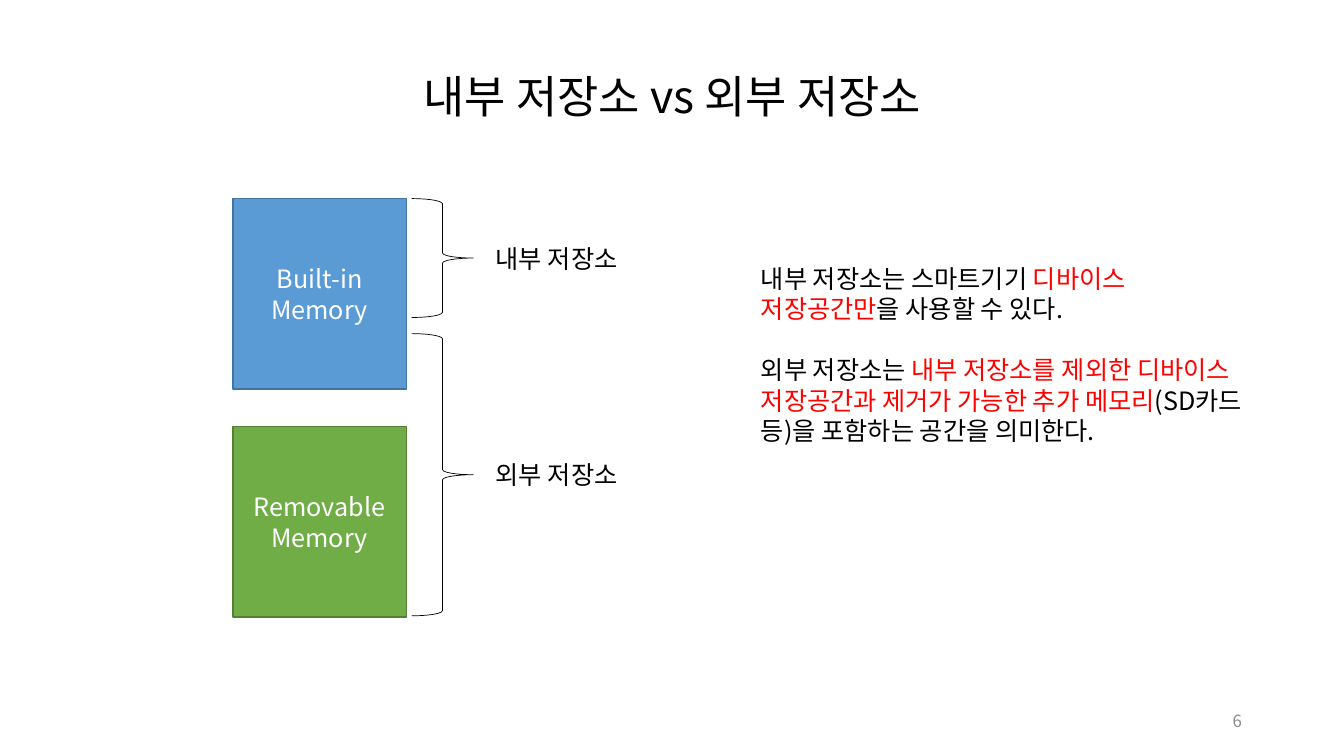
from pptx import Presentation
from pptx.dml.color import RGBColor
from pptx.enum.shapes import MSO_SHAPE as Shape
from pptx.enum.text import MSO_ANCHOR as Anchor, PP_ALIGN as Align
from pptx.oxml.ns import qn
from pptx.util import Inches, Pt
from lxml.etree import SubElement

FONT = "Noto Sans CJK KR"
BLACK, WHITE, RED, GRAY = "000000", "FFFFFF", "FF0000", "8C8C8C"

deck = Presentation()
deck.slide_width, deck.slide_height = Inches(13.33), Inches(7.5)
slide = deck.slides.add_slide(deck.slide_layouts[6])
shapes = slide.shapes


def share(left, top, width, height):
    """Turn percentages of the slide's size into lengths."""
    across, down = deck.slide_width / 100, deck.slide_height / 100
    return [round(n) for n in (left * across, top * down, width * across, height * down)]


def write(holder, paragraphs, size=18, color=BLACK, align=Align.LEFT,
          anchor=Anchor.TOP, gap=0):
    """Fill a shape with paragraphs, each a list of (text, color or None) runs."""
    frame = holder.text_frame
    frame.word_wrap = True
    frame.vertical_anchor = anchor
    for index, runs in enumerate(paragraphs):
        paragraph = frame.add_paragraph() if index else frame.paragraphs[0]
        paragraph.alignment = align
        paragraph.line_spacing = Pt(size * 1.21)
        paragraph.space_before = Pt(gap if index else 0)
        for text, accent in runs:
            run = paragraph.add_run()
            run.text = text
            run.font.size = Pt(size)
            run.font.name = FONT
            run.font.color.rgb = RGBColor.from_string(accent or color)
            SubElement(run.font._element, qn("a:ea")).set("typeface", FONT)


# Title and page number
title = shapes.add_textbox(*share(6.9, 5.33, 86.25, 14.53))
write(title, [[("내부 저장소 vs 외부 저장소", None)]], size=32,
      align=Align.CENTER, anchor=Anchor.MIDDLE)
page_number = shapes.add_textbox(*share(70.65, 92.67, 22.5, 5.33))
write(page_number, [[("6", None)]], size=12, color=GRAY,
      align=Align.RIGHT, anchor=Anchor.MIDDLE)

# Memory blocks, one pitch apart
BLOCK_TOP, BLOCK_PITCH = 26.27, 30.13
memories = [("Built-in", "5B9BD5", "43739E"), ("Removable", "70AD47", "538035")]
for row, (kind, fill, edge) in enumerate(memories):
    memory = shapes.add_shape(
        Shape.RECTANGLE, *share(17.33, BLOCK_TOP + row * BLOCK_PITCH, 12.9, 25.2))
    memory.shadow.inherit = False
    memory.fill.solid()
    memory.fill.fore_color.rgb = RGBColor.from_string(fill)
    memory.line.color.rgb = RGBColor.from_string(edge)
    memory.line.width = Pt(1)
    write(memory, [[(kind, None)], [("Memory", None)]], color=WHITE,
          align=Align.CENTER, anchor=Anchor.MIDDLE)

# Braces with a label centred on each tip
LABEL_HEIGHT = 5.33
storages = [("내부 저장소", BLOCK_TOP, 15.73), ("외부 저장소", 44.13, 37.33)]
for name, top, height in storages:
    brace = shapes.add_shape(Shape.RIGHT_BRACE, *share(30.63, top, 4.58, height))
    brace.shadow.inherit = False
    brace.fill.background()
    brace.line.color.rgb = RGBColor.from_string(BLACK)
    brace.line.width = Pt(0.5)
    label_top = top + (height - LABEL_HEIGHT) / 2
    label = shapes.add_textbox(*share(36.15, label_top, 12.45, LABEL_HEIGHT))
    write(label, [[(name, None)]])

# Explanation
explanation = shapes.add_textbox(*share(55.88, 34.13, 37.73, 25.6))
write(explanation, [
    [("내부 저장소는 스마트기기 ", None), ("디바이스 저장공간만", RED),
     ("을 사용할 수 있다.", None)],
    [("외부 저장소는 ", None),
     ("내부 저장소를 제외한 디바이스 저장공간과 제거가 가능한 추가 메모리", RED),
     ("(SD카드 등)을 포함하는 공간을 의미한다.", None)],
], gap=21.8)

deck.save("out.pptx")
